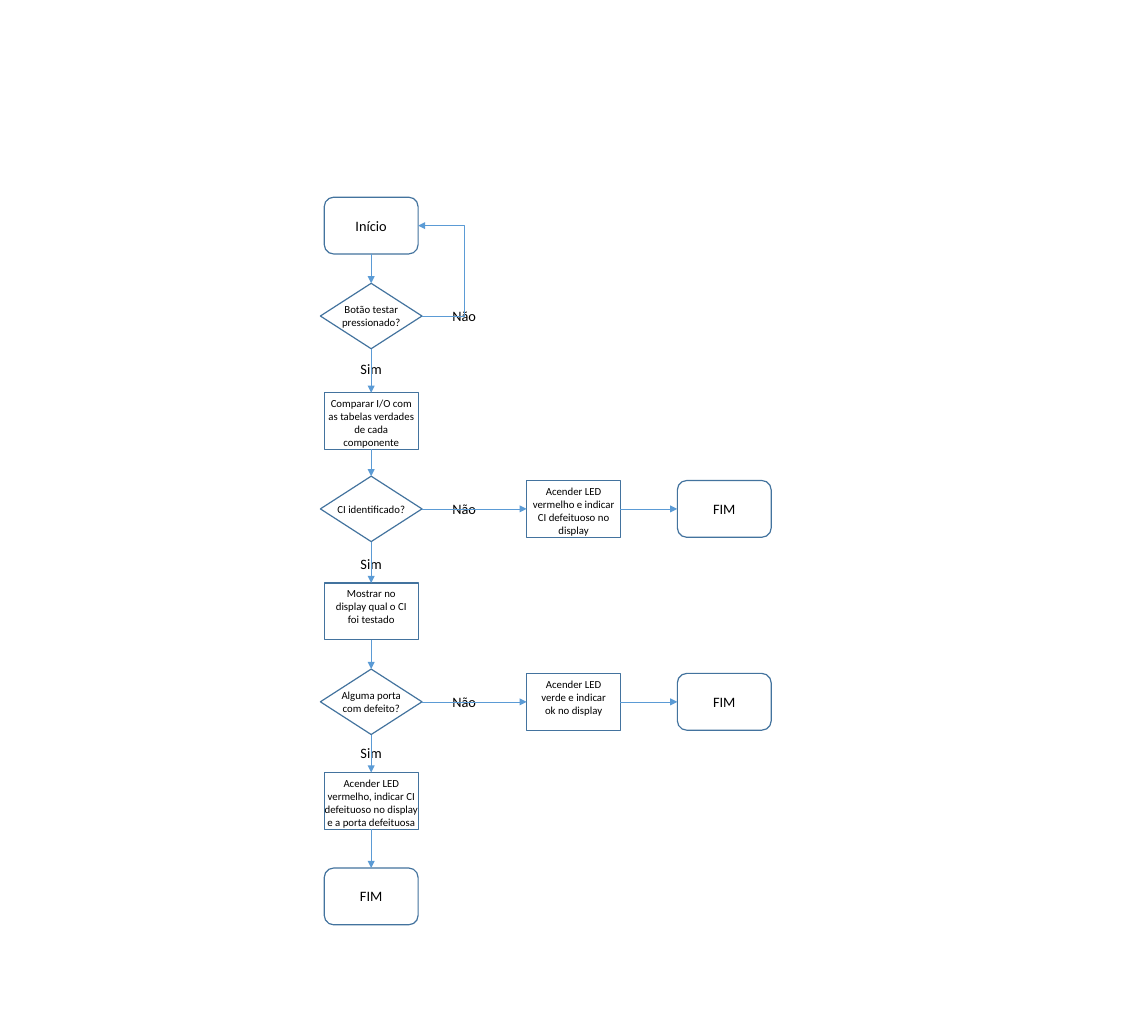
from pptx import Presentation
from pptx.dml.color import RGBColor
from pptx.enum.shapes import MSO_CONNECTOR, MSO_SHAPE
from pptx.enum.text import MSO_AUTO_SIZE, PP_ALIGN
from pptx.oxml.ns import qn
from pptx.util import Inches, Pt
from lxml import etree

TERMINAL = MSO_SHAPE.FLOWCHART_ALTERNATE_PROCESS
DECISION = MSO_SHAPE.FLOWCHART_DECISION
STEP = MSO_SHAPE.FLOWCHART_PROCESS
STRAIGHT = MSO_CONNECTOR.STRAIGHT
ELBOW = MSO_CONNECTOR.ELBOW
CENTER = PP_ALIGN.CENTER
GROW = MSO_AUTO_SIZE.SHAPE_TO_FIT_TEXT

WHITE = RGBColor(0xFF, 0xFF, 0xFF)
BLACK = RGBColor(0x00, 0x00, 0x00)
OUTLINE = RGBColor(0x43, 0x73, 0x9E)
ARROW = RGBColor(0x5B, 0x9B, 0xD5)

TOP, LEFT, BOTTOM, RIGHT = range(4)
MAIN, ANSWER, ACTION, END = 4.31, 5.39, 6.66, 8.41
ROWS = [2.62, 3.67, 4.89, 5.91, 7.1, 8.15, 9.3, 10.41]
SIZES = {TERMINAL: (1.09, 0.66), DECISION: (1.18, 0.76), STEP: (1.09, 0.66)}
LARGE, SMALL = 12, 9
LABEL_WIDTH = 0.74
LINE_HEIGHT = 1.22

NODES = [
    ("start", TERMINAL, MAIN, 0, "Início", LABEL_WIDTH, 1),
    ("pressed", DECISION, MAIN, 1, "Botão testar pressionado?", 1.02, 2),
    ("compare", STEP, MAIN, 2,
     "Comparar I/O com as tabelas verdades de cada componente", 1.24, 4),
    ("identified", DECISION, MAIN, 3, "CI identificado?", 1.02, 1),
    ("unknown", STEP, ACTION, 3,
     "Acender LED vermelho e indicar CI defeituoso no display", 1.26, 4),
    ("unknown end", TERMINAL, END, 3, "FIM", LABEL_WIDTH, 1),
    ("show", STEP, MAIN, 4, "Mostrar no display qual o CI foi testado", 1.09, 3),
    ("faulty", DECISION, MAIN, 5, "Alguma porta com defeito?", 1.02, 2),
    ("good", STEP, ACTION, 5, "Acender LED verde e indicar ok no display", 1.09, 3),
    ("good end", TERMINAL, END, 5, "FIM", LABEL_WIDTH, 1),
    ("bad", STEP, MAIN, 6,
     "Acender LED vermelho, indicar CI defeituoso no display e a porta defeituosa",
     1.31, 4),
    ("bad end", TERMINAL, MAIN, 7, "FIM", LABEL_WIDTH, 1),
]
MAIN_FLOW = ["start", "pressed", "compare", "identified", "show", "faulty",
             "bad", "bad end"]
BRANCHES = [["identified", "unknown", "unknown end"],
            ["faulty", "good", "good end"]]
YES_HEIGHTS = [4.29, 6.55, 8.75]
NO_ROWS = [1, 3, 5]


def text_height(size, lines):
    return lines * size * LINE_HEIGHT / 72 + 0.1


def add_label(slide, text, center, top, width, size, lines=1):
    box = slide.shapes.add_textbox(
        Inches(center - width / 2), Inches(top),
        Inches(width), Inches(text_height(size, lines)))
    frame = box.text_frame
    frame.word_wrap = True
    frame.auto_size = GROW
    paragraph = frame.paragraphs[0]
    paragraph.text = text
    paragraph.alignment = CENTER
    paragraph.font.name = "Calibri"
    paragraph.font.size = Pt(size)
    paragraph.font.color.rgb = BLACK


def add_centered_label(slide, text, center, middle, width, size, lines=1):
    top = middle - text_height(size, lines) / 2
    add_label(slide, text, center, top, width, size, lines)


def add_node(slide, kind, column, row, text, text_width, lines):
    width, height = SIZES[kind]
    middle = ROWS[row]
    top = middle - height / 2
    shape = slide.shapes.add_shape(
        kind, Inches(column - width / 2), Inches(top),
        Inches(width), Inches(height))
    shape.shadow.inherit = False
    shape.fill.solid()
    shape.fill.fore_color.rgb = WHITE
    shape.line.color.rgb = OUTLINE
    shape.line.width = Pt(1)
    if kind == STEP:
        add_label(slide, text, column, top, text_width, SMALL, lines)
    else:
        size = LARGE if kind == TERMINAL else SMALL
        add_centered_label(slide, text, column, middle, text_width, size, lines)
    return shape


def add_arrow(slide, kind, source, source_side, target, target_side):
    connector = slide.shapes.add_connector(kind, 0, 0, 0, 0)
    connector.begin_connect(source, source_side)
    connector.end_connect(target, target_side)
    connector.line.color.rgb = ARROW
    connector.line.width = Pt(0.5)
    properties = connector._element.spPr
    line = properties.find(qn("a:ln"))
    etree.SubElement(line, qn("a:tailEnd"), type="triangle")
    etree.SubElement(properties, qn("a:effectLst"))
    return connector


def add_return_arrow(slide, source, target):
    connector = add_arrow(slide, ELBOW, source, RIGHT, target, RIGHT)
    run = connector.end_x - connector.begin_x
    turn = (Inches(ANSWER) - connector.begin_x) / run
    geometry = connector._element.spPr.find(qn("a:prstGeom"))
    adjustments = geometry.find(qn("a:avLst"))
    etree.SubElement(adjustments, qn("a:gd"), name="adj1",
                     fmla=f"val {round(turn * 100000)}")


def add_flow(slide, shapes, names, source_side, target_side):
    for source, target in zip(names, names[1:]):
        add_arrow(slide, STRAIGHT, shapes[source], source_side,
                  shapes[target], target_side)


def main():
    presentation = Presentation()
    presentation.slide_width = Inches(13.33)
    presentation.slide_height = Inches(11.81)
    slide = presentation.slides.add_slide(presentation.slide_layouts[6])
    shapes = {name: add_node(slide, *node) for name, *node in NODES}
    for height in YES_HEIGHTS:
        add_centered_label(slide, "Sim", MAIN, height, LABEL_WIDTH, LARGE)
    for row in NO_ROWS:
        add_centered_label(slide, "Não", ANSWER, ROWS[row], LABEL_WIDTH, LARGE)
    add_flow(slide, shapes, MAIN_FLOW, BOTTOM, TOP)
    for branch in BRANCHES:
        add_flow(slide, shapes, branch, RIGHT, LEFT)
    add_return_arrow(slide, shapes["pressed"], shapes["start"])
    presentation.save("out.pptx")


if __name__ == "__main__":
    main()
